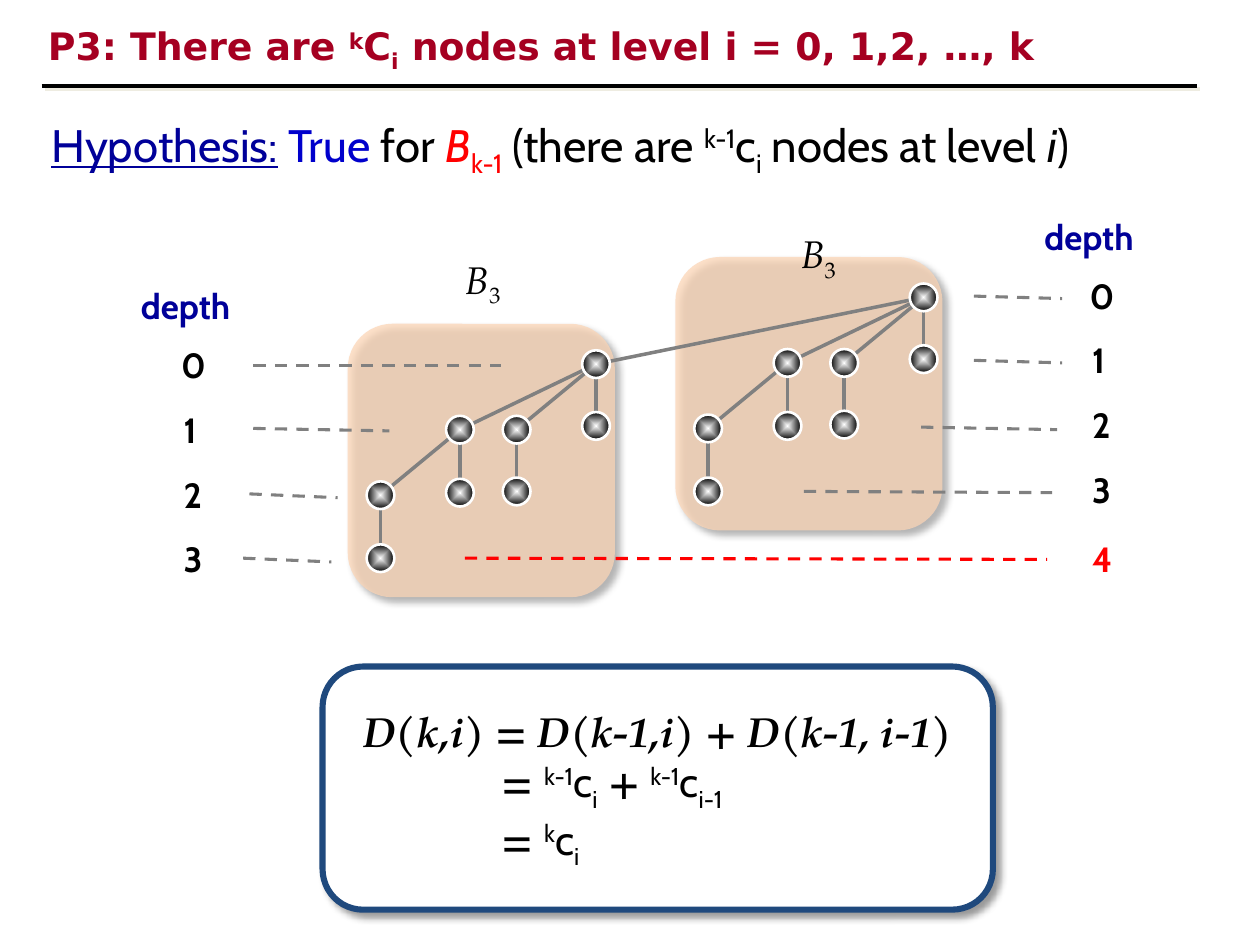
"""Build the slide on node counts per level of a binomial tree, on a grid of 100 by 75 cells."""
from dataclasses import dataclass, replace
from typing import Any, Optional

import pptx
import pptx.dml.color
import pptx.enum.dml
import pptx.enum.shapes
import pptx.enum.text
import pptx.oxml
import pptx.oxml.ns
import pptx.util

SHAPE = pptx.enum.shapes.MSO_SHAPE
ALIGN = pptx.enum.text.PP_ALIGN
ANCHOR = pptx.enum.text.MSO_ANCHOR
NAMESPACE = pptx.oxml.ns.nsdecls("a")
SUPERSCRIPT, SUBSCRIPT = 30, -25
Point = tuple[float, float]


@dataclass(frozen=True)
class Style:
    size: float
    font: str
    color: str = "000000"
    bold: bool = False
    italic: bool = False
    underline: bool = False


@dataclass(frozen=True)
class Run:
    text: str
    style: Style
    baseline: int = 0


@dataclass(frozen=True)
class Box:
    left: float
    top: float
    width: float
    height: float


@dataclass(frozen=True)
class Shadow:
    color: str
    opacity: int
    blur: float
    distance: float


@dataclass(frozen=True)
class Node:
    column: float
    row: float
    children: tuple["Node", ...] = ()


@dataclass(frozen=True)
class Level:
    label: str
    left: float
    top: float
    start: Point
    end: Point
    color: str = "000000"


PANEL_SHADOW = Shadow("000000", 40, 4, 4)
TITLE_SHADOW = Shadow("EEECE1", 100, 0, 2.8)
GRAY, RED, NAVY = "808080", "FF0000", "000099"
NODE_SIZE = 2.2
ROOTS = ((47.3, 28.9), (73.3, 23.6))
BINOMIAL_TREE = Node(0, 0, (
    Node(-10.8, 5.2, (Node(-17.1, 10.4, (Node(-17.1, 15.4),)), Node(-10.8, 10.2))),
    Node(-6.3, 5.2, (Node(-6.3, 10.1),)),
    Node(0, 4.9),
))
LEVELS = (
    Level("0", 13.4, 26.8, (20.1, 29), (39.8, 29)),
    Level("1", 13.6, 31.9, (20.1, 34), (30.9, 34.2)),
    Level("2", 13.6, 37.1, (19.8, 39.2), (26.8, 39.5)),
    Level("3", 13.6, 42.2, (19.3, 44.3), (26.3, 44.6)),
    Level("0", 85.5, 21.3, (77.3, 23.5), (84.3, 23.7)),
    Level("1", 85.7, 26.4, (77.3, 28.6), (84.3, 28.8)),
    Level("2", 85.7, 31.5, (73.1, 33.9), (83.9, 34.1)),
    Level("3", 85.7, 36.7, (63.8, 39), (83.5, 39.1)),
    Level("4", 85.7, 42.2, (36.9, 44.3), (83.1, 44.4), RED),
)


def cells(count: float) -> pptx.util.Length:
    """Turn a number of grid cells into a length."""
    return pptx.util.Inches(count / 10)


def rgb(color: str) -> pptx.dml.color.RGBColor:
    """Turn a hex string into a colour."""
    return pptx.dml.color.RGBColor.from_string(color)


def effect_list(shadow: Optional[Shadow] = None) -> Any:
    """Make an effect list that is empty or holds one outer shadow."""
    inner = "" if shadow is None else (
        f'<a:outerShdw blurRad="{pptx.util.Pt(shadow.blur)}" dist="{pptx.util.Pt(shadow.distance)}" '
        f'dir="2700000" algn="tl" rotWithShape="0"><a:srgbClr val="{shadow.color}">'
        f'<a:alpha val="{shadow.opacity * 1000}"/></a:srgbClr></a:outerShdw>')
    return pptx.oxml.parse_xml(f"<a:effectLst {NAMESPACE}>{inner}</a:effectLst>")


def add_runs(paragraph: Any, runs: tuple[Run, ...], shadow: Optional[Shadow] = None) -> None:
    """Append formatted runs to a paragraph."""
    for item in runs:
        run = paragraph.add_run()
        run.text = item.text
        font = run.font
        font.size, font.name = pptx.util.Pt(item.style.size), item.style.font
        font.bold, font.italic = item.style.bold, item.style.italic
        font.underline = item.style.underline
        font.color.rgb = rgb(item.style.color)
        properties = run._r.get_or_add_rPr()
        if item.baseline:
            properties.set("baseline", str(item.baseline * 1000))
        if shadow:
            properties.find(pptx.oxml.ns.qn("a:solidFill")).addnext(effect_list(shadow))


def add_text(shapes: Any, box: Box, *runs: Run) -> None:
    """Add a wrapping text box with one paragraph."""
    shape = shapes.add_textbox(*map(cells, (box.left, box.top, box.width, box.height)))
    shape.text_frame.word_wrap = True
    add_runs(shape.text_frame.paragraphs[0], runs)


def add_line(shapes: Any, start: Point, end: Point, color: str = GRAY, width: float = 2,
             dashed: bool = False, shadow: Optional[Shadow] = None) -> None:
    """Add a straight line between two grid points."""
    line = shapes.add_connector(pptx.enum.shapes.MSO_CONNECTOR.STRAIGHT, *map(cells, start + end))
    line.line.color.rgb = rgb(color)
    line.line.width = pptx.util.Pt(width)
    if dashed:
        line.line.dash_style = pptx.enum.dml.MSO_LINE.DASH
    line._element.spPr.append(effect_list(shadow))


def add_panel(shapes: Any, box: Box, fill: str, opacity: int = 100) -> Any:
    """Add a shadowed rounded rectangle without an outline."""
    panel = shapes.add_shape(SHAPE.ROUNDED_RECTANGLE,
                             *map(cells, (box.left, box.top, box.width, box.height)))
    panel.fill.solid()
    panel.fill.fore_color.rgb = rgb(fill)
    color = panel._element.spPr.find(".//" + pptx.oxml.ns.qn("a:srgbClr"))
    color.append(pptx.oxml.parse_xml(f'<a:alpha {NAMESPACE} val="{opacity * 1000}"/>'))
    panel.line.fill.background()
    panel._element.spPr.append(effect_list(PANEL_SHADOW))
    return panel


def add_node(shapes: Any, center: Point) -> None:
    """Add a ball that shades from a white centre to a black rim."""
    left, top = (value - NODE_SIZE / 2 for value in center)
    ball = shapes.add_shape(SHAPE.OVAL, *map(cells, (left, top, NODE_SIZE, NODE_SIZE)))
    ball.shadow.inherit = False
    ball.line.color.rgb = rgb("FFFFFF")
    ball.line.width = pptx.util.Pt(1.5)
    ball._element.spPr.find(pptx.oxml.ns.qn("a:prstGeom")).addnext(pptx.oxml.parse_xml(
        f'<a:gradFill {NAMESPACE} rotWithShape="1"><a:gsLst>'
        '<a:gs pos="0"><a:srgbClr val="FFFFFF"/></a:gs><a:gs pos="100000"><a:srgbClr val="000000"/></a:gs>'
        '</a:gsLst><a:path path="shape"><a:fillToRect l="50000" t="50000" r="50000" b="50000"/></a:path>'
        '</a:gradFill>'))


def add_tree(shapes: Any, root: Point, node: Node) -> None:
    """Draw the edges below a node, its subtrees, and then the node itself."""
    center = (root[0] + node.column, root[1] + node.row)
    for child in node.children:
        add_line(shapes, center, (root[0] + child.column, root[1] + child.row))
        add_tree(shapes, root, child)
    add_node(shapes, center)


def add_title(slide: Any) -> None:
    """Fill and place the title and draw the rule below it."""
    title = slide.shapes.title
    title.left, title.top, title.width, title.height = map(cells, (2.8, 1.3, 85, 6.7))
    frame = title.text_frame
    frame.auto_size = pptx.enum.text.MSO_AUTO_SIZE.NONE
    frame.vertical_anchor = ANCHOR.TOP
    frame.paragraphs[0].alignment = ALIGN.LEFT
    style = Style(21.6, "DejaVu Sans", "A50021", bold=True)
    add_runs(frame.paragraphs[0], (
        Run("P3: There are ", style), Run("k", style, SUPERSCRIPT), Run("C", style),
        Run("i", style, SUBSCRIPT), Run(" nodes at level i = 0, 1,2, …, k", style)), TITLE_SHADOW)
    add_line(slide.shapes, (3.3, 6.8), (95, 6.8), "000000", 2.25, shadow=TITLE_SHADOW)


def add_formula(shapes: Any) -> None:
    """Add the outlined box with the three-line derivation."""
    panel = add_panel(shapes, Box(25.6, 52.9, 53.2, 19.3), "FFFFFF")
    panel.line.color.rgb = rgb("1F497D")
    panel.line.width = pptx.util.Pt(3.5)
    frame = panel.text_frame
    frame.word_wrap, frame.vertical_anchor = True, ANCHOR.MIDDLE
    upright = Style(24, "TeX Gyre Pagella", bold=True)
    slanted, plain = replace(upright, italic=True), Style(24, "Cabin")
    parts = ("D", "(", "k,i", ")", " = D", "(", "k-1,i", ")", " + D", "(", "k-1, i-1", ")")
    first = tuple(Run(text, upright if text in "()" else slanted) for text in parts)

    def choose(upper: str, lower: str) -> tuple[Run, ...]:
        return Run(upper, plain, SUPERSCRIPT), Run("c", plain), Run(lower, plain, SUBSCRIPT)

    equals = Run("= ", upright)
    second = (equals, *choose("k-1", "i"), Run(" + ", slanted), *choose("k-1", "i-1"))
    for index, runs in enumerate((first, second, (equals, *choose("k", "i")))):
        paragraph = frame.add_paragraph() if index else frame.paragraphs[0]
        paragraph.alignment = ALIGN.LEFT if index else ALIGN.CENTER
        if index:
            paragraph._p.get_or_add_pPr().set("marL", str(cells(12.3)))
        add_runs(paragraph, runs)


def main() -> None:
    """Build and save the presentation."""
    presentation = pptx.Presentation()
    presentation.slide_width, presentation.slide_height = cells(100), cells(75)
    slide = presentation.slides.add_slide(presentation.slide_layouts[5])
    shapes = slide.shapes
    add_title(slide)
    for left, top in reversed(ROOTS):
        add_panel(shapes, Box(left - 19.7, top - 3.2, 21.2, 21.7), "FCD5B5", 73)
    black = Style(26, "Cabin")
    red, slanted = replace(black, color=RED), replace(black, italic=True)
    add_text(shapes, Box(3.1, 8.8, 83.1, 9.8),
             Run("Hypothesis:", replace(black, color=NAVY, underline=True)), Run(" ", black),
             Run("True", replace(black, color="0000CC")), Run(" for ", black),
             Run("B", replace(red, italic=True)), Run("k-1", red, SUBSCRIPT),
             Run(" (there are ", black), Run("k-1", black, SUPERSCRIPT), Run("c", black),
             Run("i", black, SUBSCRIPT), Run(" nodes at level ", black), Run("i", slanted),
             Run(")", black))
    add_line(shapes, *ROOTS)
    for root in ROOTS:
        add_tree(shapes.add_group_shape().shapes, root, BINOMIAL_TREE)
    label = Style(20, "Cabin", bold=True)
    for left, top in ((10.2, 22.1), (81.9, 16.6)):
        add_text(shapes, Box(left, top, 10.7, 4.4), Run("depth", replace(label, color=NAVY)))
    for level in LEVELS:
        add_text(shapes, Box(level.left, level.top, 5.7, 4.4),
                 Run(level.label, replace(label, color=level.color)))
        add_line(shapes, level.start, level.end, RED if level.color == RED else GRAY, 1.75, True)
    name = Style(22, "TeX Gyre Pagella")
    for left, top in ((36, 19.8), (62.6, 17.8)):
        add_text(shapes, Box(left, top, 5.7, 4.7), Run("B", replace(name, italic=True)),
                 Run("3", name, SUBSCRIPT))
    add_formula(shapes)
    presentation.save("out.pptx")


if __name__ == "__main__":
    main()
